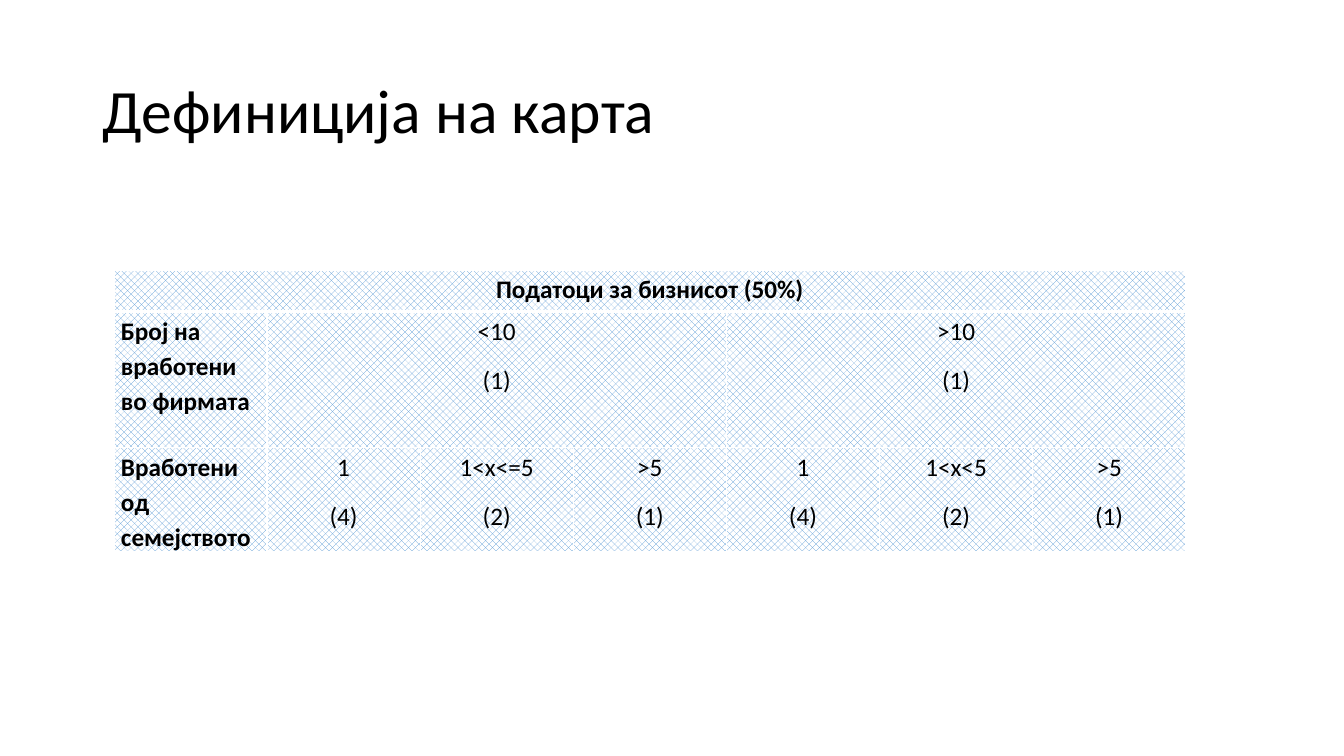
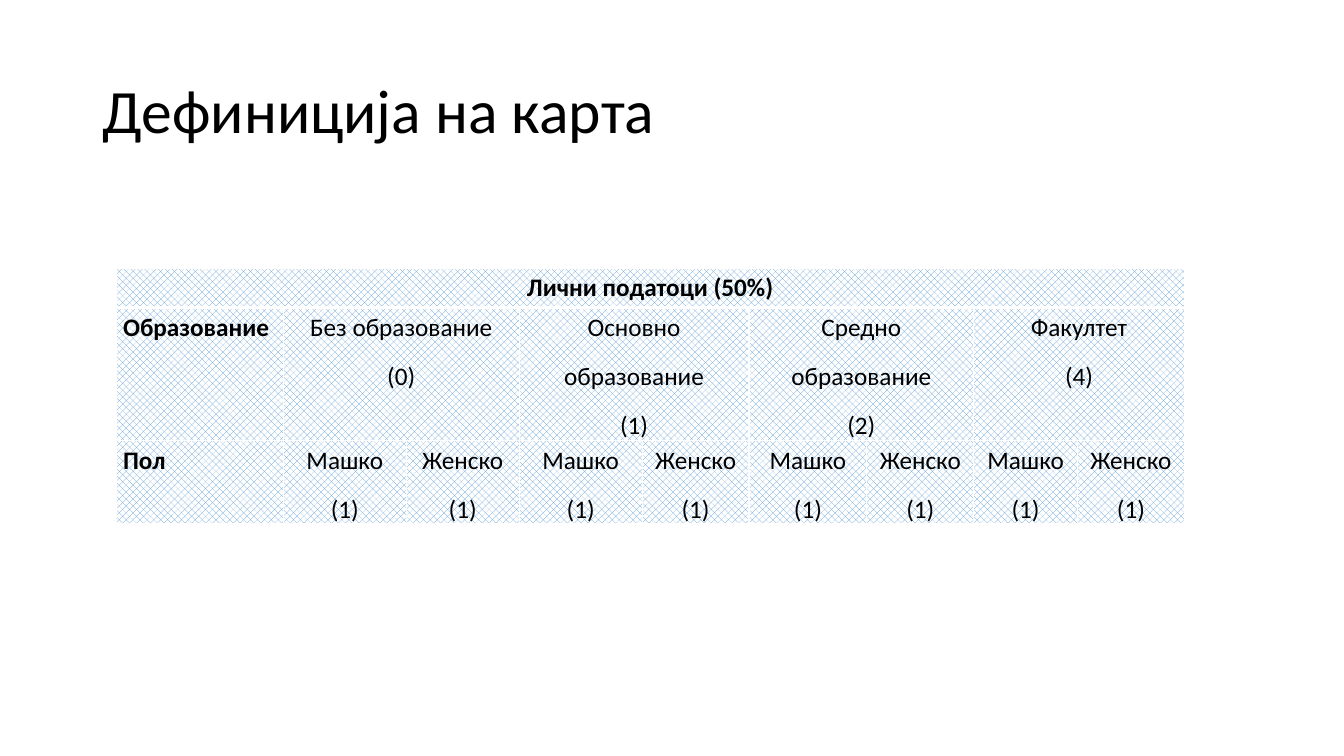
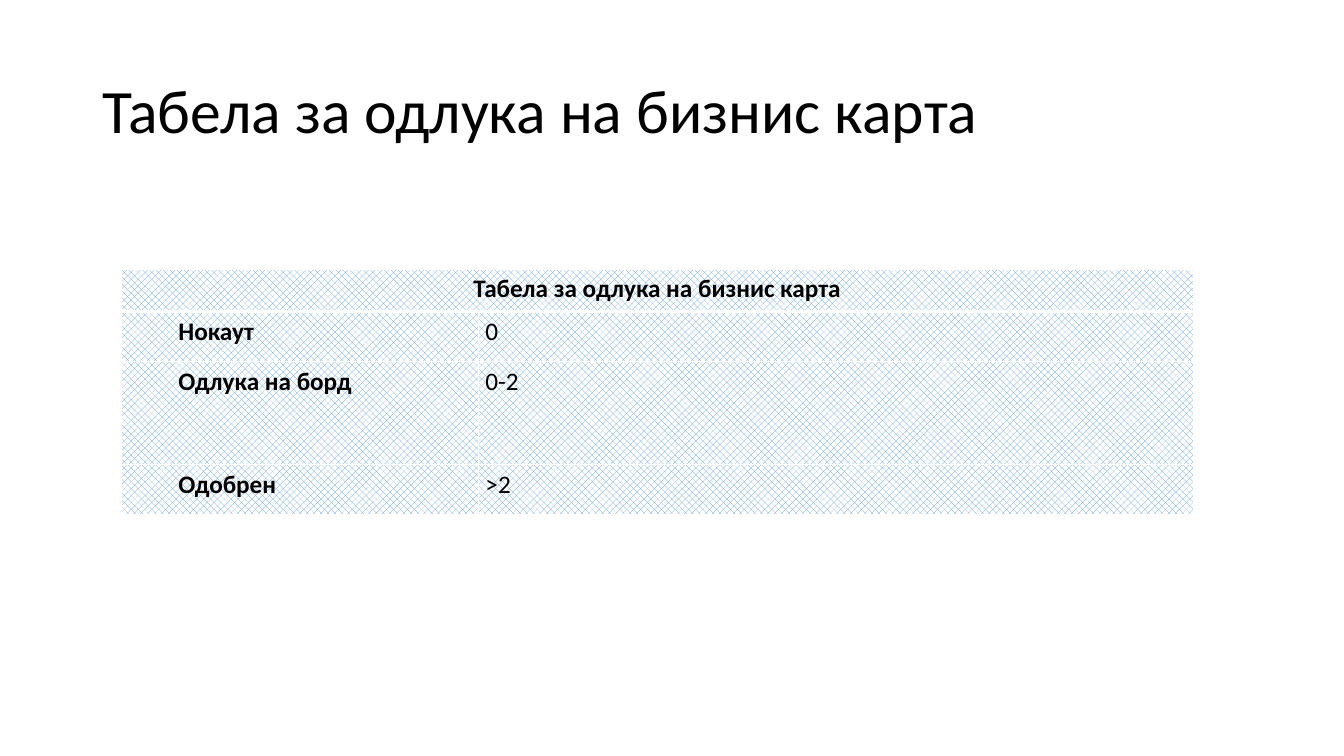
import dataclasses

import lxml.etree
import pptx
import pptx.dml.color
import pptx.dml.fill
import pptx.enum.dml
import pptx.enum.text
import pptx.oxml.ns
import pptx.slide
import pptx.table
import pptx.text.text
import pptx.util

SLIDE_WIDTH = pptx.util.Inches(13.33)
SLIDE_HEIGHT = pptx.util.Inches(7.5)
BLANK_LAYOUT = 6

FONT = "Calibri"
BLACK, WHITE, BLUE = "000000", "FFFFFF", "5B9BD5"
THIN_BORDER, HEADER_BORDER = 1, 3

LEFT = pptx.enum.text.PP_ALIGN.LEFT
CENTER = pptx.enum.text.PP_ALIGN.CENTER

TITLE_FORMAT = {"line_spacing": 0.9, "alignment": LEFT}
CELL_FORMAT = {"line_spacing": 1.15, "space_after": pptx.util.Pt(10)}
CELL_MARGINS = {
    "margin_left": pptx.util.Inches(0.07),
    "margin_right": pptx.util.Inches(0.07),
    "margin_top": 0,
    "margin_bottom": 0,
}
TITLE_FONT = {"name": FONT, "size": pptx.util.Pt(44), "bold": False}
CELL_FONT = {"name": FONT, "size": pptx.util.Pt(18)}


@dataclasses.dataclass(frozen=True)
class Row:
    """A label and its values, which share the remaining columns equally."""

    height: float
    label: str
    values: tuple[str, ...]


@dataclasses.dataclass(frozen=True)
class CardTable:
    """Places and heights are percentages of the slide; columns are weights."""

    title: str
    heading: str
    left: float
    top: float
    width: float
    columns: tuple[float, ...]
    heading_height: float
    rows: tuple[Row, ...]
    value_alignment: pptx.enum.text.PP_ALIGN = CENTER
    label_indent: float = 0


CARD_TABLES = (
    CardTable(
        title="Дефиниција на карта",
        heading="Податоци за бизнисот (50%)",
        left=8.48, top=35.73, width=79.75,
        columns=(1,) * 7,
        heading_height=5.47,
        rows=(
            Row(18, "Број на вработени во фирмата", ("<10\n(1)", ">10\n(1)")),
            Row(11.07, "Вработени од семејството",
                ("1\n(4)", "1<x<=5\n(2)", ">5\n(1)",
                 "1\n(4)", "1<x<5\n(2)", ">5\n(1)")),
        ),
    ),
    CardTable(
        title="Дефиниција на карта",
        heading="Лични податоци (50%)",
        left=8.63, top=35.47, width=79.5,
        columns=(1.66, 1.22, 1.12, 1.22, 1.06, 1.17, 1.06, 1.03, 1.06),
        heading_height=5.2,
        rows=(
            Row(17.6, "Образование",
                ("Без образование\n(0)", "Основно\nобразование\n(1)",
                 "Средно\nобразование\n(2)", "Факултет\n(4)")),
            Row(10.8, "Пол", ("Машко\n(1)", "Женско\n(1)") * 4),
        ),
    ),
    CardTable(
        title="Табела за одлука на бизнис карта",
        heading="Табела за одлука на бизнис карта",
        left=9, top=35.6, width=79.8,
        columns=(1, 2),
        heading_height=5.6,
        rows=(
            Row(6.67, "Нокаут", ("0",)),
            Row(13.6, "Одлука на борд", ("0-2",)),
            Row(6.67, "Одобрен", (">2",)),
        ),
        value_alignment=LEFT,
        label_indent=0.5,
    ),
)


def color(value: str) -> pptx.dml.color.RGBColor:
    return pptx.dml.color.RGBColor.from_string(value)


def across(percent: float) -> int:
    return round(SLIDE_WIDTH * percent / 100)


def down(percent: float) -> int:
    return round(SLIDE_HEIGHT * percent / 100)


def apply_format(target: object, values: dict) -> None:
    for name, value in values.items():
        setattr(target, name, value)


def write_text(frame: pptx.text.text.TextFrame, text: str,
               paragraph_format: dict, font_format: dict) -> None:
    frame.text = text
    for paragraph in frame.paragraphs:
        apply_format(paragraph, paragraph_format)
        for run in paragraph.runs:
            apply_format(run.font, font_format)
            run.font.color.rgb = color(BLACK)


def add_border(cell: pptx.table._Cell, side: str, points: float) -> None:
    properties = cell._tc.get_or_add_tcPr()
    line = lxml.etree.SubElement(
        properties, pptx.oxml.ns.qn(f"a:ln{side}"), w=str(pptx.util.Pt(points)))
    fill = lxml.etree.SubElement(line, pptx.oxml.ns.qn("a:solidFill"))
    lxml.etree.SubElement(fill, pptx.oxml.ns.qn("a:srgbClr"), val=WHITE)


def style_cell(cell: pptx.table._Cell, row_index: int) -> None:
    """Give a cell its margins, white borders and blue pattern."""
    apply_format(cell, CELL_MARGINS)
    heavy_side = {0: "B", 1: "T"}.get(row_index)
    for side in "LRTB":
        add_border(cell, side,
                   HEADER_BORDER if side == heavy_side else THIN_BORDER)
    cell.fill.patterned()
    cell.fill.pattern = pptx.enum.dml.MSO_PATTERN.PERCENT_50
    cell.fill.fore_color.rgb = color(BLUE)
    cell.fill.back_color.rgb = color(WHITE)


def write_cell(table: pptx.table.Table, row: int, column: int, span: int,
               text: str, alignment: pptx.enum.text.PP_ALIGN,
               bold: bool) -> pptx.table._Cell:
    cell = table.cell(row, column)
    if span > 1:
        cell.merge(table.cell(row, column + span - 1))
    write_text(cell.text_frame, text, CELL_FORMAT | {"alignment": alignment},
               CELL_FONT | {"bold": bold})
    return cell


def add_title(slide: pptx.slide.Slide, text: str) -> None:
    box = slide.shapes.add_textbox(
        across(6.9), down(5.33), across(86.25), down(19.33))
    frame = box.text_frame
    frame.word_wrap = True
    frame.vertical_anchor = pptx.enum.text.MSO_ANCHOR.MIDDLE
    write_text(frame, text, TITLE_FORMAT, TITLE_FONT)


def add_card_table(slide: pptx.slide.Slide, card: CardTable) -> None:
    heights = [card.heading_height, *(row.height for row in card.rows)]
    column_count = len(card.columns)
    table = slide.shapes.add_table(
        len(heights), column_count, across(card.left), down(card.top),
        across(card.width), down(sum(heights))).table
    apply_format(table, {"first_row": False, "horz_banding": False})
    for column, weight in zip(table.columns, card.columns):
        column.width = across(card.width * weight / sum(card.columns))
    for index, (row, height) in enumerate(zip(table.rows, heights)):
        row.height = down(height)
        for cell in row.cells:
            style_cell(cell, index)

    write_cell(table, 0, 0, column_count, card.heading, CENTER, True)
    for index, row in enumerate(card.rows, start=1):
        label = write_cell(table, index, 0, 1, row.label, LEFT, True)
        if card.label_indent:
            properties = label.text_frame.paragraphs[0]._p.get_or_add_pPr()
            properties.set("marL", str(pptx.util.Inches(card.label_indent)))
        span = (column_count - 1) // len(row.values)
        for position, value in enumerate(row.values):
            write_cell(table, index, 1 + position * span, span, value,
                       card.value_alignment, False)


def main() -> None:
    presentation = pptx.Presentation()
    presentation.slide_width = SLIDE_WIDTH
    presentation.slide_height = SLIDE_HEIGHT
    for card in CARD_TABLES:
        slide = presentation.slides.add_slide(
            presentation.slide_layouts[BLANK_LAYOUT])
        add_title(slide, card.title)
        add_card_table(slide, card)
    presentation.save("out.pptx")


if __name__ == "__main__":
    main()
